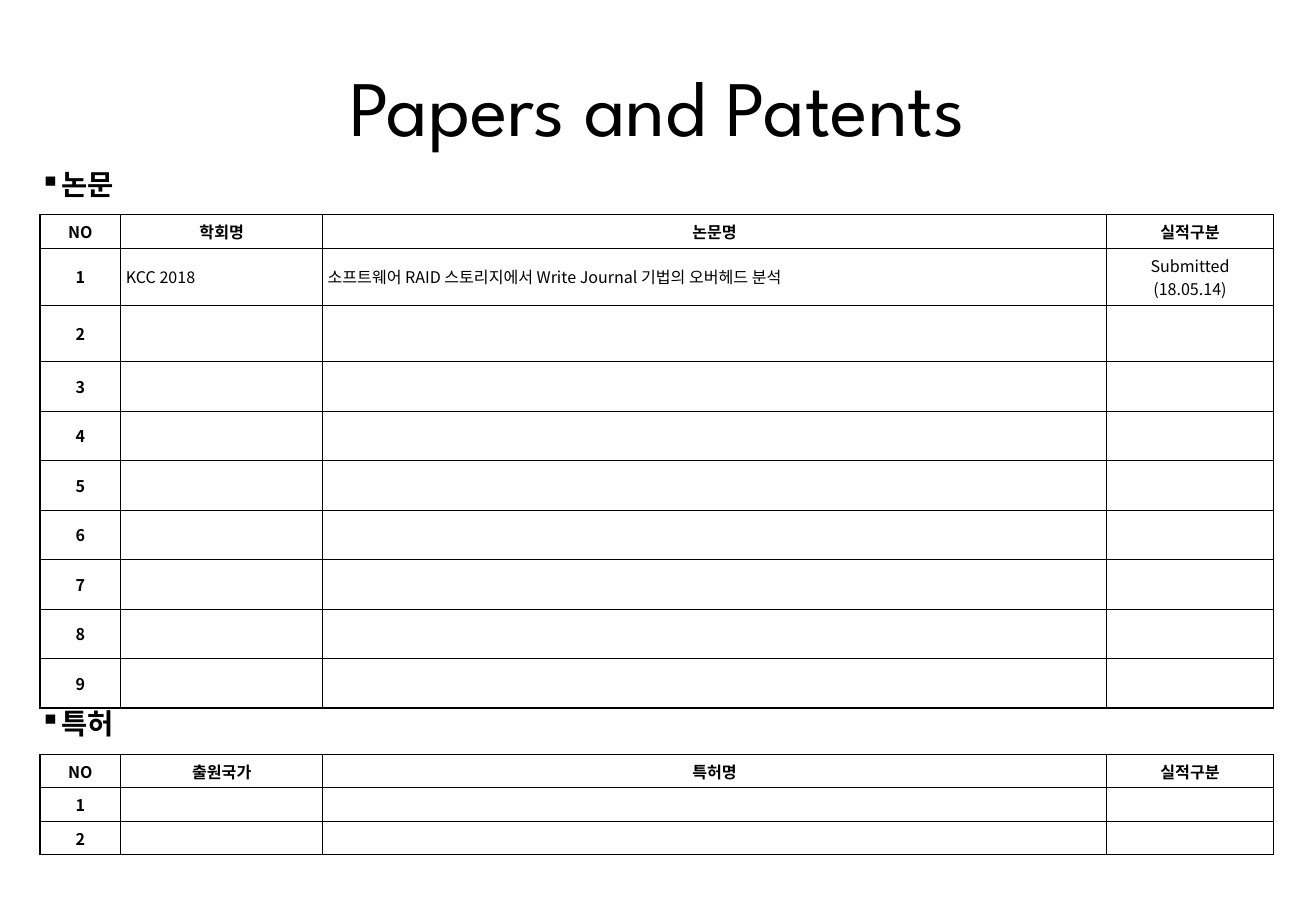
from lxml.etree import SubElement
from pptx import Presentation
from pptx.dml.color import RGBColor
from pptx.enum.text import MSO_ANCHOR, PP_ALIGN
from pptx.oxml.ns import qn
from pptx.util import Inches, Pt

COLORS = {"ink": "000000", "paper": "FFFFFF"}
TITLE_FONT = "League Spartan"
BODY_FONT = "Noto Sans CJK KR"
LEFT, WIDTH = 0.31, 9.61
COLUMN_WIDTHS = [0.63, 1.57, 6.1, 1.3]
PAPER_ROW = 0.385


def format_run(run, size, font, bold=False):
    run.font.size = Pt(size)
    run.font.name = font
    run.font.bold = bold
    run.font.color.rgb = RGBColor.from_string(COLORS["ink"])
    SubElement(run.font._element, qn("a:ea"), typeface=font)


def add_title(slide, text):
    title = slide.shapes.title
    title.left, title.top = Inches(0.39), Inches(0.27)
    title.width, title.height = Inches(9.45), Inches(1.1)
    title.text_frame.text = text
    title.text_frame.vertical_anchor = MSO_ANCHOR.MIDDLE
    paragraph = title.text_frame.paragraphs[0]
    paragraph.alignment = PP_ALIGN.CENTER
    format_run(paragraph.runs[0], 44, TITLE_FONT)


def add_heading(slide, text, top):
    heading = slide.shapes.add_textbox(
        Inches(LEFT), Inches(top), Inches(WIDTH), Inches(0.31))
    frame = heading.text_frame
    frame.word_wrap = True
    frame.vertical_anchor = MSO_ANCHOR.MIDDLE
    frame.margin_left = frame.margin_right = 0
    frame.margin_top = frame.margin_bottom = 0
    frame.text = text
    paragraph = frame.paragraphs[0]
    properties = paragraph._p.get_or_add_pPr()
    properties.set("marL", str(Inches(0.16)))
    properties.set("indent", str(-Inches(0.16)))
    SubElement(properties, qn("a:buChar"), char="▪")
    format_run(paragraph.runs[0], 16, BODY_FONT, True)


def set_borders(cell, widths):
    properties = cell._tc.get_or_add_tcPr()
    for side, width in zip("LRTB", widths):
        line = SubElement(properties, qn(f"a:ln{side}"), w=str(Pt(width)))
        fill = SubElement(line, qn("a:solidFill"))
        SubElement(fill, qn("a:srgbClr"), val=COLORS["ink"])


def fill_cell(cell, text, bold, centered):
    cell.margin_left = cell.margin_right = Inches(0.04)
    cell.margin_top = cell.margin_bottom = Inches(0.04)
    cell.vertical_anchor = MSO_ANCHOR.MIDDLE
    cell.fill.background()
    cell.text_frame.text = text
    for paragraph in cell.text_frame.paragraphs:
        paragraph.alignment = PP_ALIGN.CENTER if centered else PP_ALIGN.LEFT
        for run in paragraph.runs:
            format_run(run, 9, BODY_FONT, bold)
        if not paragraph.runs:
            SubElement(paragraph._p, qn("a:endParaRPr"), sz="900")


def add_record_table(slide, top, rows, heights):
    table = slide.shapes.add_table(
        len(rows), len(COLUMN_WIDTHS), Inches(LEFT), Inches(top),
        Inches(WIDTH), Inches(sum(heights))).table
    table.first_row = table.horz_banding = False
    for column, width in zip(table.columns, COLUMN_WIDTHS):
        column.width = Inches(width)
    last_row, last_column = len(rows) - 1, len(COLUMN_WIDTHS) - 1
    for r, (row, height) in enumerate(zip(rows, heights)):
        table.rows[r].height = Inches(height)
        for c, text in enumerate(row):
            cell = table.cell(r, c)
            outer = [c == 0, c == last_column, r == 0, r == last_row]
            set_borders(cell, [1 if edge else 0.5 for edge in outer])
            fill_cell(cell, text, bold=r == 0 or c == 0,
                      centered=r == 0 or c in (0, last_column))


def numbered_rows(first, last):
    return [[str(number), "", "", ""] for number in range(first, last + 1)]


def main():
    presentation = Presentation()
    presentation.slide_width = Inches(10.24)
    presentation.slide_height = Inches(7.01)
    slide = presentation.slides.add_slide(presentation.slide_layouts[5])
    slide.background.fill.solid()
    slide.background.fill.fore_color.rgb = RGBColor.from_string(COLORS["paper"])

    add_title(slide, "Papers and Patents")
    papers = [
        ["NO", "학회명", "논문명", "실적구분"],
        ["1", "KCC 2018",
         "소프트웨어 RAID 스토리지에서 Write Journal 기법의 오버헤드 분석",
         "Submitted\n(18.05.14)"],
    ] + numbered_rows(2, 9)
    add_record_table(slide, 1.67, papers, [0.26] + [0.44] * 2 + [PAPER_ROW] * 7)
    add_heading(slide, "논문", 1.28)
    add_heading(slide, "특허", 5.47)
    patents = [["NO", "출원국가", "특허명", "실적구분"]] + numbered_rows(1, 2)
    add_record_table(slide, 5.87, patents, [0.26] * 3)

    presentation.save("out.pptx")


if __name__ == "__main__":
    main()
